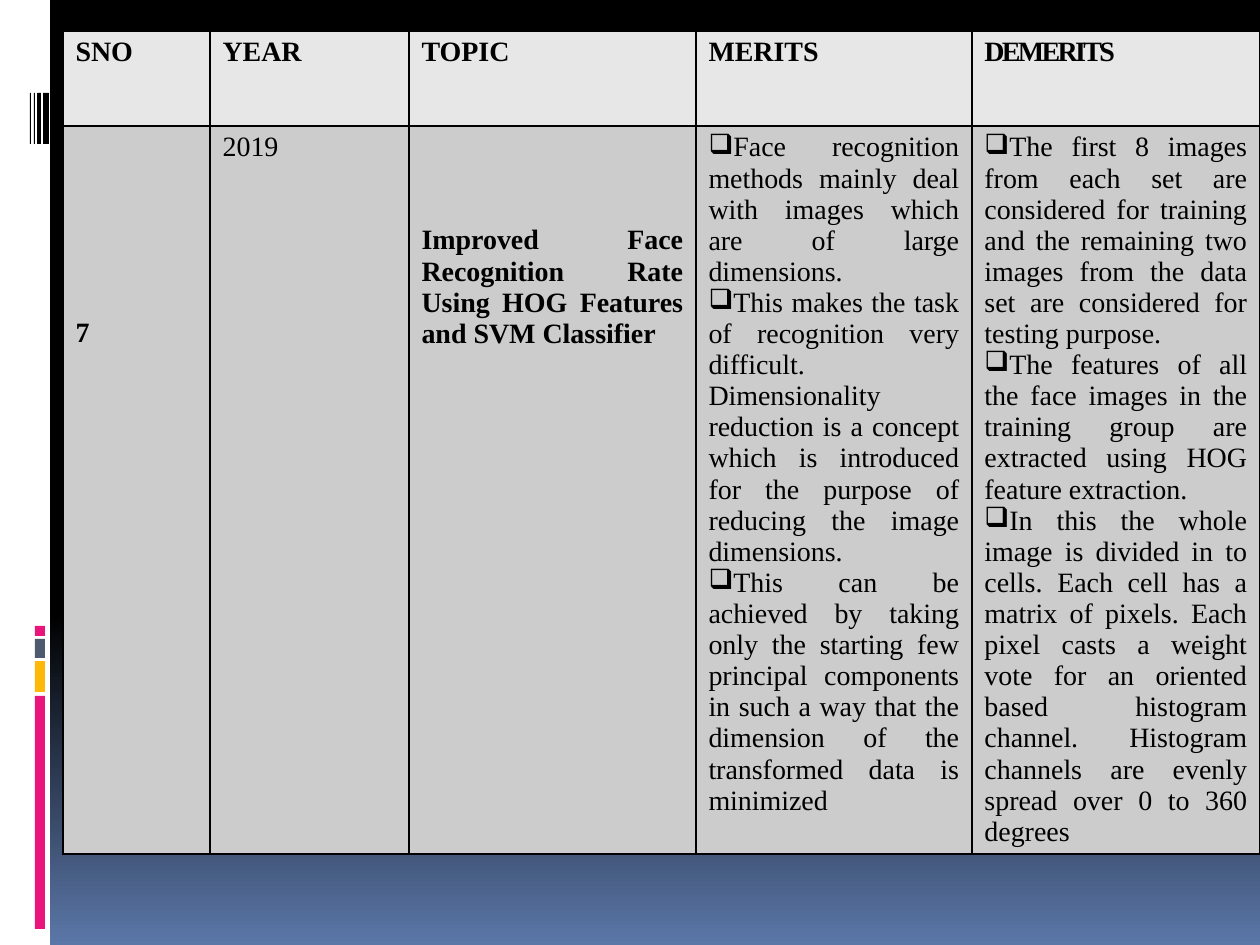
from pptx import Presentation
from pptx.dml.color import RGBColor
from pptx.enum.shapes import MSO_SHAPE
from pptx.enum.text import PP_ALIGN
from pptx.oxml import parse_xml
from pptx.oxml.ns import nsdecls
from pptx.util import Pt

RECT = MSO_SHAPE.RECTANGLE
JUSTIFY = PP_ALIGN.JUSTIFY
SCALE = 914400 / 126  # EMU in one px
LINE = 31  # px height of one text line
PAD = 6  # px above the text of a cell


class Theme:
    black = "000000"
    white = "FFFFFF"
    pink = "EA157A"
    gold = "FEB80A"
    slate = "4E5B6F"
    blue = "5B77A8"
    head = "E7E7E7"
    body = "CCCCCC"
    font = "Times New Roman"
    size = Pt(16)
    border = Pt(1)
    tight = -150  # letter spacing, 1/100 pt


STRIPES = [  # top, height, colour
    (696, 233, Theme.pink),
    (661, 31, Theme.gold),
    (639, 19, Theme.slate),
    (626, 10, Theme.pink),
]
BARS = [(43, 6), (37, 4), (34, 1), (30, 1)]  # left, width

COLS = [147, 199, 287, 276, 288]
ROWS = [95, 728]
HEADS = ["SNO", "YEAR", "TOPIC", "MERITS", "DEMERITS"]
TOPIC = "Improved Face Recognition Rate Using HOG Features and SVM Classifier"
MERITS = [
    "Face recognition methods mainly deal with images which are of large "
    "dimensions.",
    "This makes the task of recognition very difficult. Dimensionality "
    "reduction is a concept which is introduced for the purpose of reducing "
    "the image dimensions.",
    "This can be achieved by taking only the starting few principal "
    "components in such a way that the dimension of the transformed data is "
    "minimized",
]
FAULTS = [
    "The first 8 images from each set are considered for training and the "
    "remaining two images from the data set are considered for testing "
    "purpose.",
    "The features of all the face images in the training group are extracted "
    "using HOG feature extraction.",
    "In this the whole image is divided in to cells. Each cell has a matrix "
    "of pixels. Each pixel casts a weight vote for an oriented based "
    "histogram channel. Histogram channels are evenly spread over 0 to 360 "
    "degrees",
]
PAPER = [  # paragraphs, bold, bullets, lines to skip
    (["7"], True, False, 6),
    (["2019"], False, False, 0),
    ([TOPIC], True, False, 3),
    (MERITS, False, True, 0),
    (FAULTS, False, True, 0),
]


def px(num):
    return round(num * SCALE)


def rgb(code):
    return RGBColor.from_string(code)


def apply(item, style):
    for name, value in style.items():
        setattr(item, name, value)


def set_back(slide):
    stops = [(0, Theme.black), (65, Theme.black), (100, Theme.blue)]
    marks = "".join(
        f'<a:gs pos="{pos * 1000}"><a:srgbClr val="{code}"/></a:gs>'
        for pos, code in stops
    )
    back = parse_xml(
        f'<p:bg {nsdecls("p", "a")}><p:bgPr><a:gradFill rotWithShape="1">'
        f'<a:gsLst>{marks}</a:gsLst><a:lin ang="5400000" scaled="0"/>'
        "</a:gradFill><a:effectLst/></p:bgPr></p:bg>"
    )
    slide.element.cSld.insert(0, back)


def add_rect(slide, left, top, width, height, code):
    rect = slide.shapes.add_shape(RECT, *map(px, (left, top, width, height)))
    rect.shadow.inherit = False
    rect.fill.solid()
    rect.fill.fore_color.rgb = rgb(code)
    rect.line.fill.background()


def add_edges(cell):
    props = cell._tc.get_or_add_tcPr()
    for side in ("lnL", "lnR", "lnT", "lnB"):
        props.append(parse_xml(
            f'<a:{side} {nsdecls("a")} w="{Theme.border}"><a:solidFill>'
            f'<a:srgbClr val="{Theme.black}"/></a:solidFill></a:{side}>'
        ))


def add_bullet(para):
    props = para._p.get_or_add_pPr()
    apply_xml = {"marL": "0", "indent": "0"}
    for name, value in apply_xml.items():
        props.set(name, value)
    props.append(parse_xml(f'<a:buChar {nsdecls("a")} char="❑"/>'))


def fill_cell(cell, code, texts, bold, bullets=False, skip=0):
    add_edges(cell)
    cell.fill.solid()
    cell.fill.fore_color.rgb = rgb(code)
    cell.margin_top = px(PAD + skip * LINE)
    frame = cell.text_frame
    frame.text = "\n".join(texts)
    style = {"name": Theme.font, "size": Theme.size, "bold": bold}
    for para in frame.paragraphs:
        para.alignment = JUSTIFY
        if bullets:
            add_bullet(para)
        font = para.runs[0].font
        apply(font, style)
        font.color.rgb = rgb(Theme.black)


def add_grid(slide):
    frame = slide.shapes.add_table(
        len(ROWS), len(COLS), px(63), px(31), px(sum(COLS)), px(sum(ROWS))
    )
    table = frame.table
    for col, width in zip(table.columns, COLS):
        col.width = px(width)
    for row, height in zip(table.rows, ROWS):
        row.height = px(height)
    for idx, (head, entry) in enumerate(zip(HEADS, PAPER)):
        fill_cell(table.cell(0, idx), Theme.head, [head], True)
        fill_cell(table.cell(1, idx), Theme.body, *entry)
    last = table.cell(0, len(COLS) - 1).text_frame.paragraphs[0].runs[0]
    last._r.get_or_add_rPr().set("spc", str(Theme.tight))


def main():
    deck = Presentation()
    apply(deck, {"slide_width": px(1260), "slide_height": px(945)})
    slide = deck.slides.add_slide(deck.slide_layouts[6])
    set_back(slide)
    add_rect(slide, 0, 0, 50, 945, Theme.white)
    for top, height, code in STRIPES:
        add_rect(slide, 35, top, 10, height, code)
    for left, width in BARS:
        add_rect(slide, left, 93, width, 51, Theme.black)
    add_grid(slide)
    deck.save("out.pptx")


if __name__ == "__main__":
    main()
